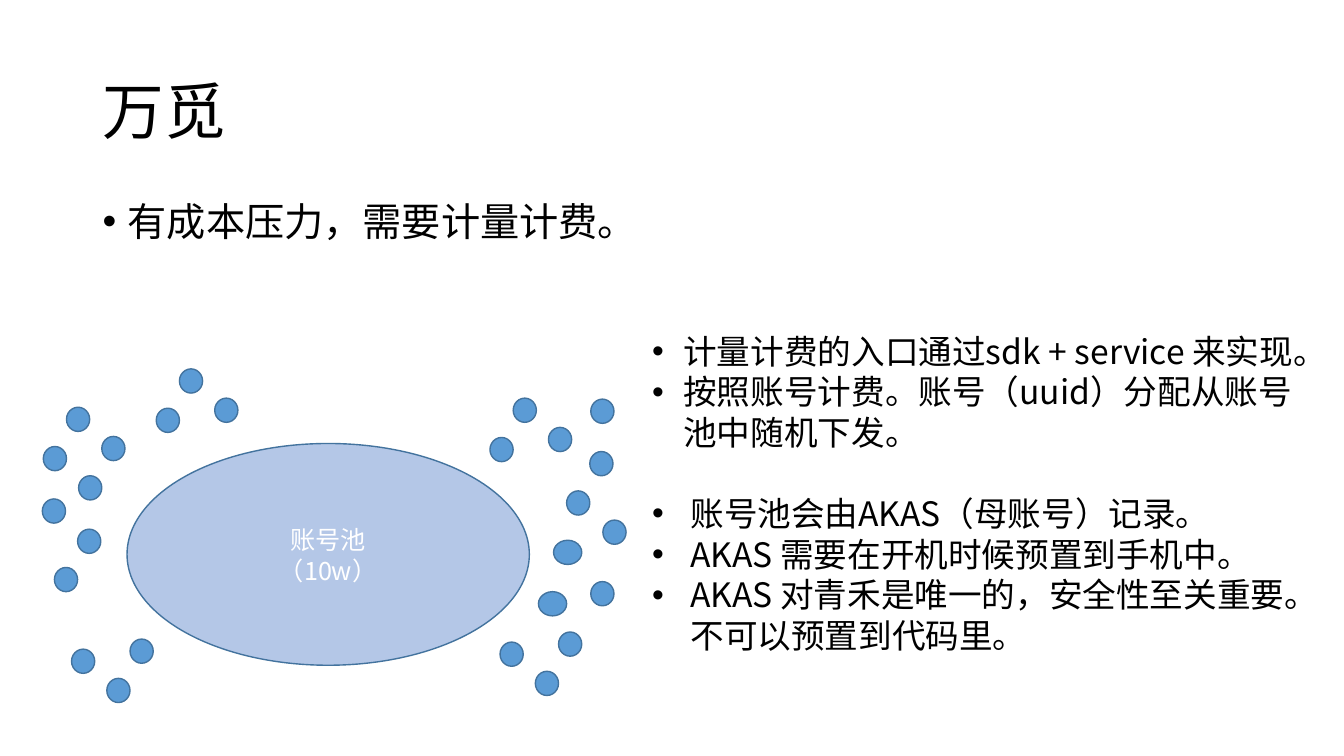
from lxml import etree
from pptx import Presentation
from pptx.dml.color import RGBColor
from pptx.enum.shapes import MSO_SHAPE as SHAPE
from pptx.enum.text import MSO_ANCHOR as ANCHOR, PP_ALIGN as ALIGN
from pptx.oxml.ns import qn
from pptx.util import Inches, Pt

FONT = "Noto Sans CJK SC"
COLORS = {"text": "000000", "pool": "B4C7E7", "pool_text": "FFFFFF",
          "account": "5B9BD5", "outline": "43739E"}

DOT_WIDTH, DOT_HEIGHT = 0.23, 0.24
PEAK = [(0, 0), (-0.23, 0.39), (0.35, 0.29)]
VALLEY = [(0, 0), (-0.35, -0.29), (0.23, -0.39)]
CLUSTERS = [
    (PEAK, [(1.78, 3.66), (0.66, 4.04), (5.09, 3.95)]),
    (VALLEY, [(5.31, 6.66), (1.06, 6.73)]),
]
LONE_ACCOUNTS = [(0.78, 4.72), (0.42, 4.95), (0.77, 5.25), (0.54, 5.63),
                 (5.86, 3.96), (5.85, 4.48), (5.62, 4.87), (5.98, 5.16),
                 (5.86, 5.77)]
WIDE_ACCOUNTS = [(5.49, 5.36), (5.34, 5.87)]

BILLING_POINTS = ["计量计费的入口通过sdk + service 来实现。",
                  "按照账号计费。账号（uuid）分配从账号池中随机下发。"]
KEY_POINTS = ["账号池会由AKAS（母账号）记录。",
              "AKAS 需要在开机时候预置到手机中。",
              "AKAS 对青禾是唯一的，安全性至关重要。不可以预置到代码里。"]


def color(name):
    return RGBColor.from_string(COLORS[name])


def add_bullet(paragraph, indent):
    properties = paragraph._p.get_or_add_pPr()
    properties.set("marL", str(Inches(indent)))
    properties.set("indent", str(-Inches(indent)))
    etree.SubElement(properties, qn("a:buFont")).set("typeface", "Arial")
    etree.SubElement(properties, qn("a:buChar")).set("char", "•")


def write_paragraph(frame, text, size, ink="text", indent=None, **formats):
    """Fill the frame's empty first paragraph, or append another one."""
    first = frame.paragraphs[0]
    paragraph = frame.add_paragraph() if first.runs else first
    for name, value in formats.items():
        setattr(paragraph, name, value)
    if indent:
        add_bullet(paragraph, indent)
    run = paragraph.add_run()
    run.text = text
    run.font.size = Pt(size)
    run.font.name = FONT
    run.font.color.rgb = color(ink)
    east_asian = etree.SubElement(run._r.get_or_add_rPr(), qn("a:ea"))
    east_asian.set("typeface", FONT)


def add_text_frame(slide, left, top, width, height, anchor=ANCHOR.TOP):
    box = slide.shapes.add_textbox(Inches(left), Inches(top),
                                   Inches(width), Inches(height))
    frame = box.text_frame
    frame.word_wrap = True
    frame.vertical_anchor = anchor
    return frame


def add_ellipse(slide, left, top, width, height, fill):
    ellipse = slide.shapes.add_shape(SHAPE.OVAL, Inches(left), Inches(top),
                                     Inches(width), Inches(height))
    ellipse.shadow.inherit = False
    ellipse.fill.solid()
    ellipse.fill.fore_color.rgb = color(fill)
    ellipse.line.color.rgb = color("outline")
    ellipse.line.width = Pt(1)
    return ellipse


def add_account(slide, left, top, width=DOT_WIDTH):
    add_ellipse(slide, left, top, width, DOT_HEIGHT, "account")


def add_account_pool(slide):
    pool = add_ellipse(slide, 1.26, 4.4, 3.99, 2.2, "pool")
    pool.text_frame.vertical_anchor = ANCHOR.MIDDLE
    for line in ("账号池", "（10w）"):
        write_paragraph(pool.text_frame, line, 18, "pool_text",
                        alignment=ALIGN.CENTER, line_spacing=Pt(22))


def add_accounts(slide):
    for offsets, tips in CLUSTERS:
        for left, top in tips:
            for dx, dy in offsets:
                add_account(slide, left + dx, top + dy)
    for left, top in LONE_ACCOUNTS:
        add_account(slide, left, top)
    for left, top in WIDE_ACCOUNTS:
        add_account(slide, left, top, 0.28)


def add_notes_on_billing(slide):
    frame = add_text_frame(slide, 6.37, 3.23, 6.76, 3.33)
    for point in BILLING_POINTS:
        write_paragraph(frame, point, 24, indent=0.31, line_spacing=Pt(29))
    for number, point in enumerate(KEY_POINTS):
        write_paragraph(frame, point, 24, indent=0.38, line_spacing=Pt(29),
                        space_before=Pt(0 if number else 29))


def main():
    presentation = Presentation()
    presentation.slide_width = Inches(13.33)
    presentation.slide_height = Inches(7.5)
    slide = presentation.slides.add_slide(presentation.slide_layouts[6])

    title = add_text_frame(slide, 0.92, 0.4, 11.5, 1.45, ANCHOR.MIDDLE)
    write_paragraph(title, "万觅", 44, line_spacing=Pt(48))
    summary = add_text_frame(slide, 0.92, 1.96, 11.5, 0.6)
    write_paragraph(summary, "有成本压力，需要计量计费。", 28, indent=0.25,
                    line_spacing=Pt(30))

    add_account_pool(slide)
    add_accounts(slide)
    add_notes_on_billing(slide)
    presentation.save("out.pptx")


if __name__ == "__main__":
    main()
